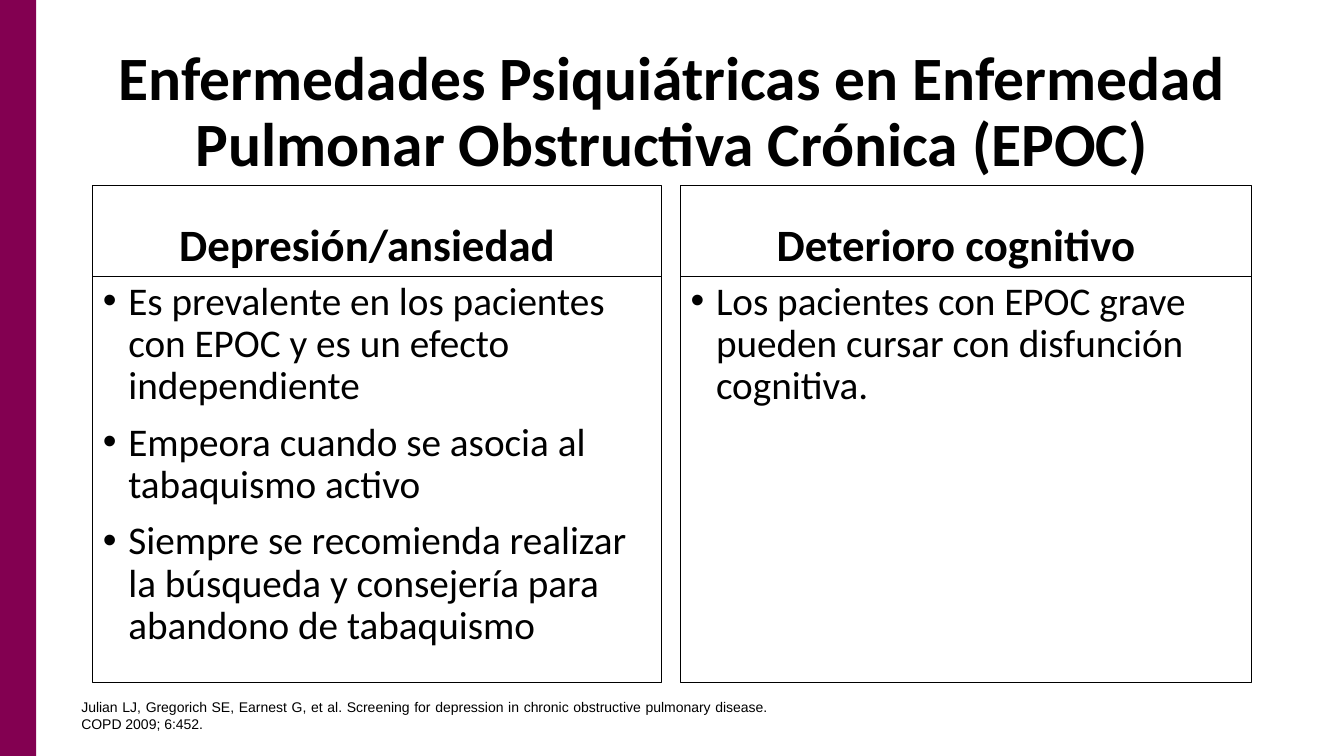
from dataclasses import dataclass

from lxml.etree import SubElement
from pptx import Presentation
from pptx.dml.color import RGBColor
from pptx.enum.shapes import MSO_SHAPE
from pptx.enum.text import MSO_ANCHOR as Anchor, MSO_AUTO_SIZE as AutoSize, PP_ALIGN as Align
from pptx.oxml.ns import qn
from pptx.util import Cm, Pt

BLACK = "000000"
PLUM = "830051"
COMPARISON_LAYOUT = 4
LEFT = 2.34
HEADING_TOP, HEADING_HEIGHT = 4.67, 2.29
LIST_TOP, LIST_HEIGHT = HEADING_TOP + HEADING_HEIGHT, 10.24


@dataclass(frozen=True)
class Style:
    size: float
    font: str = "Calibri"
    bold: bool = False
    align: Align = Align.LEFT
    line_spacing: float = 0.9
    space_before: float = 0
    bullet: bool = False


@dataclass(frozen=True)
class Topic:
    heading: str
    points: tuple[str, ...]
    left: float
    width: float
    heading_index: int
    list_index: int


TITLE = Style(44, bold=True, align=Align.CENTER)
HEADING = Style(32, bold=True, align=Align.CENTER, space_before=10)
POINT = Style(28, space_before=10, bullet=True)
CITATION = Style(10, font="Arial", align=Align.JUSTIFY, line_spacing=1)

TOPICS = (
    Topic(
        "Depresión/ansiedad",
        (
            "Es prevalente en los pacientes con EPOC y es un efecto independiente",
            "Empeora cuando se asocia al tabaquismo activo",
            "Siempre se recomienda realizar la búsqueda y consejería para abandono de tabaquismo",
        ),
        LEFT, 14.33, 1, 2,
    ),
    Topic(
        "Deterioro cognitivo",
        ("Los pacientes con EPOC grave pueden cursar con disfunción cognitiva.",),
        17.15, 14.4, 3, 4,
    ),
)


def color(hex_code: str) -> RGBColor:
    return RGBColor.from_string(hex_code)


def place(shape, left: float, top: float, width: float, height: float) -> None:
    shape.left, shape.top = Cm(left), Cm(top)
    shape.width, shape.height = Cm(width), Cm(height)


def outline(shape) -> None:
    shape.line.color.rgb = color(BLACK)
    shape.line.width = Pt(0.75)


def add_bullet(paragraph) -> None:
    properties = paragraph._p.get_or_add_pPr()
    properties.set("marL", str(Cm(0.64)))
    properties.set("indent", str(-Cm(0.64)))
    SubElement(properties, qn("a:buFont")).set("typeface", "Arial")
    SubElement(properties, qn("a:buChar")).set("char", "•")


def write(frame, lines: tuple[str, ...], style: Style, anchor: Anchor = Anchor.TOP,
          fit: AutoSize = AutoSize.NONE) -> None:
    frame.word_wrap = True
    frame.auto_size = fit
    frame.vertical_anchor = anchor
    for number, line in enumerate(lines):
        paragraph = frame.add_paragraph() if number else frame.paragraphs[0]
        paragraph.alignment = style.align
        paragraph.line_spacing = style.line_spacing
        paragraph.space_before = Pt(style.space_before)
        if style.bullet:
            add_bullet(paragraph)
        run = paragraph.add_run()
        run.text = line
        run.font.name = style.font
        run.font.size = Pt(style.size)
        run.font.bold = style.bold
        run.font.color.rgb = color(BLACK)


def add_side_band(slide) -> None:
    band = slide.shapes.add_shape(MSO_SHAPE.RECTANGLE, 0, 0, Cm(0.91), Cm(19.05))
    band.shadow.inherit = False
    band.fill.solid()
    band.fill.fore_color.rgb = color(PLUM)
    band.line.fill.background()


def fill_topic(slide, topic: Topic) -> None:
    heading = slide.placeholders[topic.heading_index]
    place(heading, topic.left, HEADING_TOP, topic.width, HEADING_HEIGHT)
    outline(heading)
    write(heading.text_frame, (topic.heading,), HEADING, Anchor.BOTTOM)
    heading.text_frame.margin_right = Cm(0.76)

    points = slide.placeholders[topic.list_index]
    place(points, topic.left, LIST_TOP, topic.width, LIST_HEIGHT)
    outline(points)
    write(points.text_frame, topic.points, POINT)


def add_citation(slide) -> None:
    citation = slide.shapes.add_textbox(Cm(1.8), Cm(17.48), Cm(17.78), Cm(1.12))
    write(
        citation.text_frame,
        ("Julian LJ, Gregorich SE, Earnest G, et al. Screening for depression in chronic "
         "obstructive pulmonary disease. COPD 2009; 6:452.",),
        CITATION,
        fit=AutoSize.SHAPE_TO_FIT_TEXT,
    )


def main() -> None:
    deck = Presentation()
    deck.slide_width, deck.slide_height = Cm(33.87), Cm(19.05)
    slide = deck.slides.add_slide(deck.slide_layouts[COMPARISON_LAYOUT])

    add_side_band(slide)
    title = slide.shapes.title
    place(title, LEFT, 1.02, 29.21, 3.68)
    write(
        title.text_frame,
        ("Enfermedades Psiquiátricas en Enfermedad Pulmonar Obstructiva Crónica (EPOC)",),
        TITLE,
        Anchor.MIDDLE,
    )
    for topic in TOPICS:
        fill_topic(slide, topic)
    add_citation(slide)
    deck.save("out.pptx")


if __name__ == "__main__":
    main()
